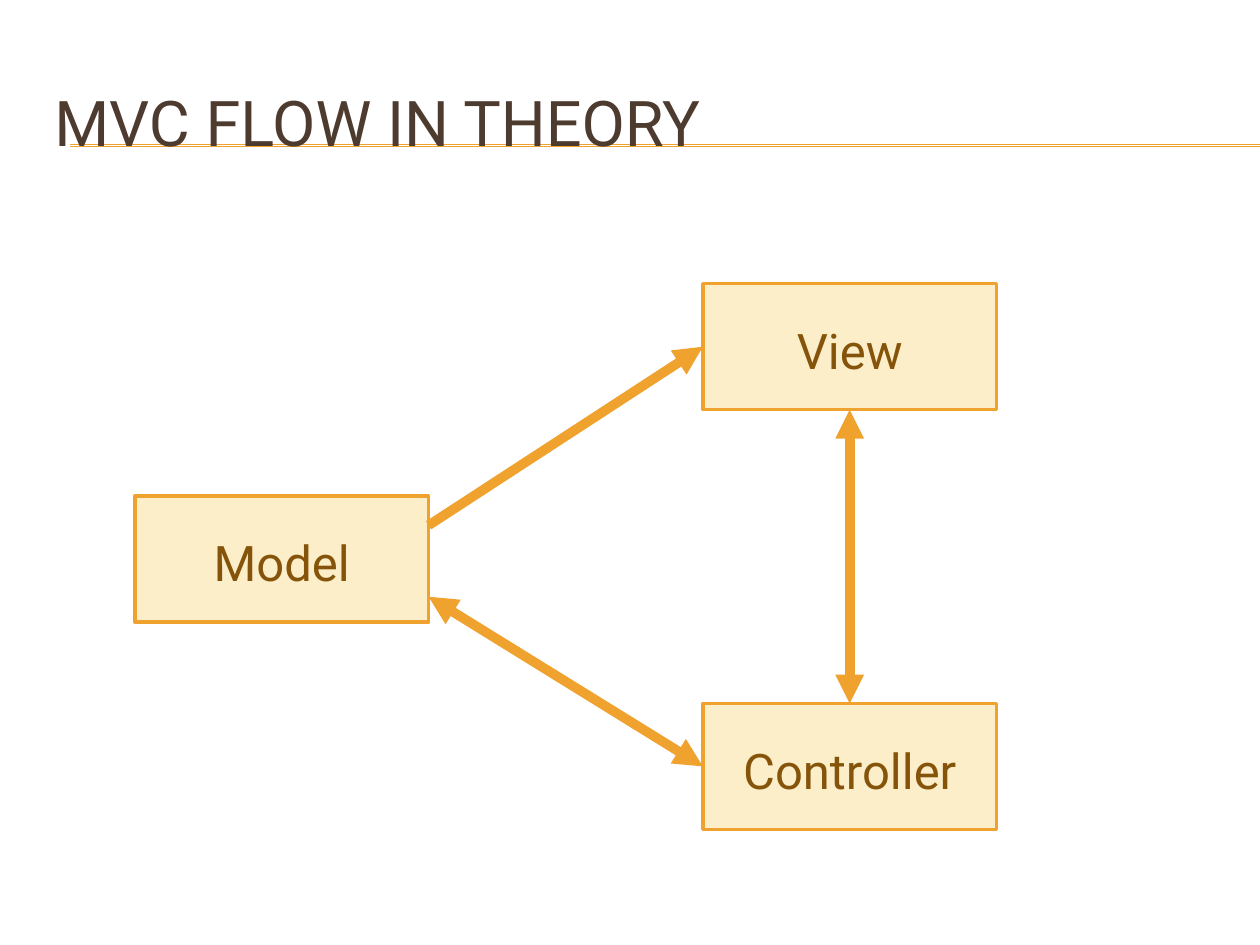
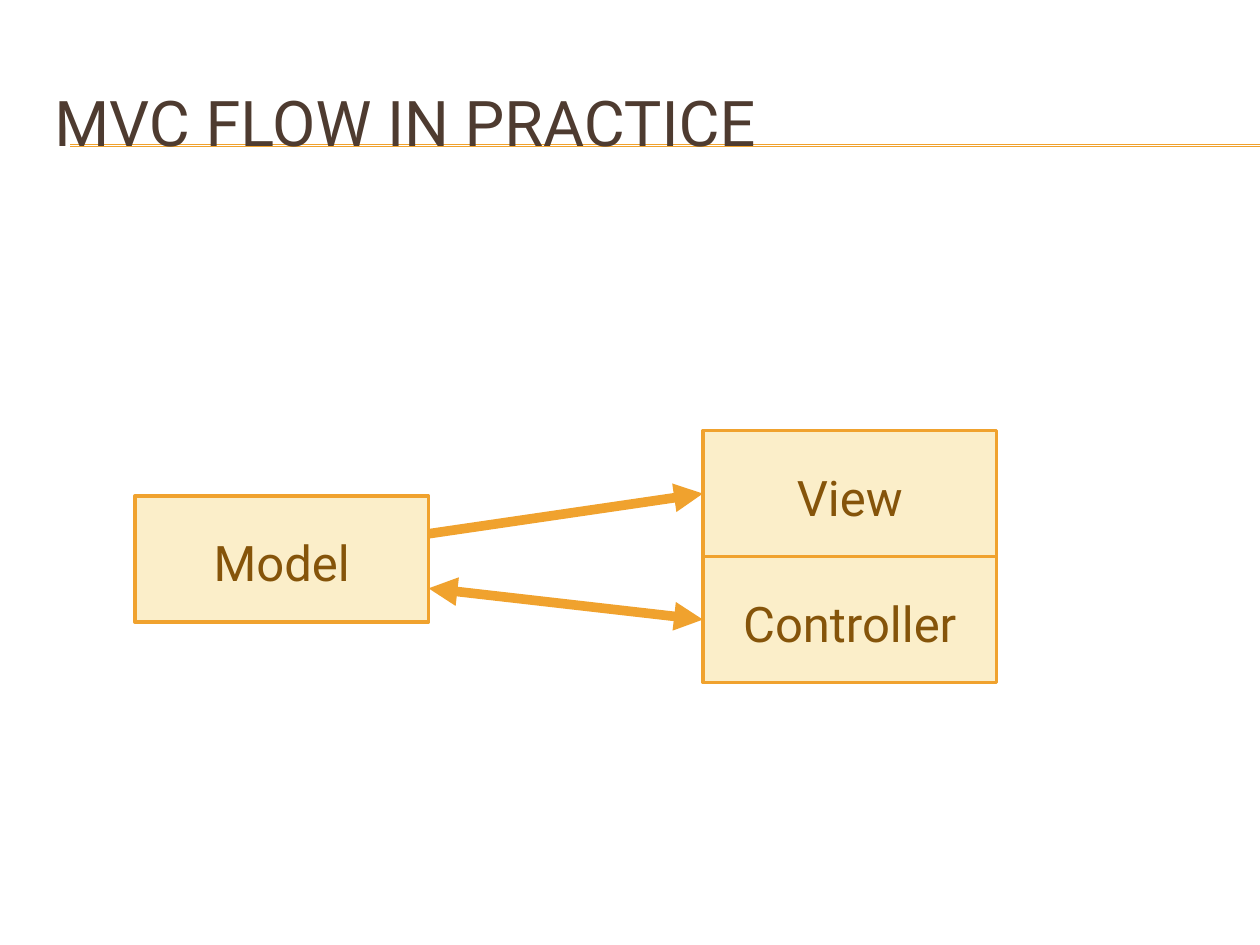
from lxml import etree
from pptx import Presentation
from pptx.dml.color import RGBColor
from pptx.enum.shapes import MSO_CONNECTOR, MSO_SHAPE
from pptx.enum.text import MSO_ANCHOR, MSO_AUTO_SIZE, PP_ALIGN
from pptx.oxml.ns import qn
from pptx.util import Cm, Pt

STRAIGHT = MSO_CONNECTOR.STRAIGHT
RECTANGLE = MSO_SHAPE.RECTANGLE
MIDDLE = MSO_ANCHOR.MIDDLE
NO_AUTOFIT = MSO_AUTO_SIZE.NONE
LEFT_ALIGNED, CENTERED = PP_ALIGN.LEFT, PP_ALIGN.CENTER
TOP, LEFT, BOTTOM = 0, 1, 2

FONT = "Roboto"
COLORS = {"title": "4E3B30", "accent": "F0A22E", "box": "FBEEC9", "label": "85540A"}

SLIDE_WIDTH, SLIDE_HEIGHT = Cm(25.4), Cm(19.05)
BOX_WIDTH, BOX_HEIGHT = Cm(5.92), Cm(2.54)
FLOW_LEFT, MODEL_TOP = Cm(2.72), Cm(10)
COLUMN_OFFSET = Cm(11.45)
PORT_CENTER = Cm(1.31)


def color(name):
    return RGBColor.from_string(COLORS[name])


def style_text(paragraph, size, color_name, alignment):
    paragraph.alignment = alignment
    paragraph.font.name = FONT
    paragraph.font.size = Pt(size)
    paragraph.font.color.rgb = color(color_name)


def add_line(slide, start, end, width):
    line = slide.shapes.add_connector(STRAIGHT, *start, *end)
    line.line.color.rgb = color("accent")
    line.line.width = Pt(width)
    etree.SubElement(line._element.spPr, qn("a:effectLst"))
    return line


def add_arrow(slide, start, end, both_ways=False):
    arrow = add_line(slide, start, end, 5.5)
    outline = arrow.line._get_or_add_ln()
    for tag in ("a:headEnd", "a:tailEnd") if both_ways else ("a:tailEnd",):
        etree.SubElement(outline, qn(tag), type="triangle")
    return arrow


def add_header(slide, title_text, left, top, width, height):
    title = slide.shapes.title
    title.left, title.top, title.width, title.height = left, top, width, height
    frame = title.text_frame
    frame.text = title_text
    frame.auto_size = NO_AUTOFIT
    frame.vertical_anchor = MIDDLE
    style_text(frame.paragraphs[0], 36, "title", LEFT_ALIGNED)
    for drop in (Cm(1.65), Cm(1.68)):
        rule = add_line(slide, (left + Cm(0.58), top + drop),
                        (SLIDE_WIDTH, top + drop), 0.75)
        title._element.addprevious(rule._element)


def add_component(slide, name, left, top):
    component = slide.shapes.add_shape(RECTANGLE, left, top, BOX_WIDTH, BOX_HEIGHT)
    component.shadow.inherit = False
    component.fill.solid()
    component.fill.fore_color.rgb = color("box")
    component.line.color.rgb = color("accent")
    component.line.width = Pt(2)
    frame = component.text_frame
    frame.word_wrap = True
    frame.vertical_anchor = MIDDLE
    frame.margin_top, frame.margin_bottom = Cm(0.13), 0
    frame.text = name
    style_text(frame.paragraphs[0], 28, "label", CENTERED)
    return component


def add_flow(slide, left, model_top, view_top, controller_top, port_spread):
    column_left = left + COLUMN_OFFSET
    model = add_component(slide, "Model", left, model_top)
    view = add_component(slide, "View", column_left, view_top)
    controller = add_component(slide, "Controller", column_left, controller_top)

    model_right = model.left + model.width
    port_middle = model.top + PORT_CENTER
    model_to_view = add_arrow(slide, (model_right, port_middle - port_spread),
                              (view.left, view.top))
    model_to_view.end_connect(view, LEFT)
    controller_to_model = add_arrow(slide, (controller.left, controller.top),
                                    (model_right, port_middle + port_spread), True)
    controller_to_model.begin_connect(controller, LEFT)
    return view, controller


def add_theory_slide(presentation, layout):
    slide = add_titled_slide(presentation, layout, "MVC FLOW IN THEORY")
    view, controller = add_flow(slide, FLOW_LEFT, MODEL_TOP, Cm(5.72), Cm(14.18), Cm(0.72))
    exchange = add_arrow(slide, (controller.left, controller.top),
                         (view.left, view.top), True)
    exchange.begin_connect(controller, TOP)
    exchange.end_connect(view, BOTTOM)


def add_practice_slide(presentation, layout):
    slide = add_titled_slide(presentation, layout, "MVC FLOW IN PRACTICE")
    view_top = Cm(8.68)
    add_flow(slide, FLOW_LEFT, MODEL_TOP, view_top, view_top + BOX_HEIGHT, Cm(0.55))


def add_titled_slide(presentation, layout, title_text):
    slide = presentation.slides.add_slide(layout)
    add_header(slide, title_text, Cm(0.84), Cm(1.27), Cm(24.13), Cm(2.34))
    return slide


def main():
    presentation = Presentation()
    presentation.slide_width, presentation.slide_height = SLIDE_WIDTH, SLIDE_HEIGHT
    title_only = presentation.slide_layouts.get_by_name("Title Only")
    add_theory_slide(presentation, title_only)
    add_practice_slide(presentation, title_only)
    presentation.save("out.pptx")


if __name__ == "__main__":
    main()
